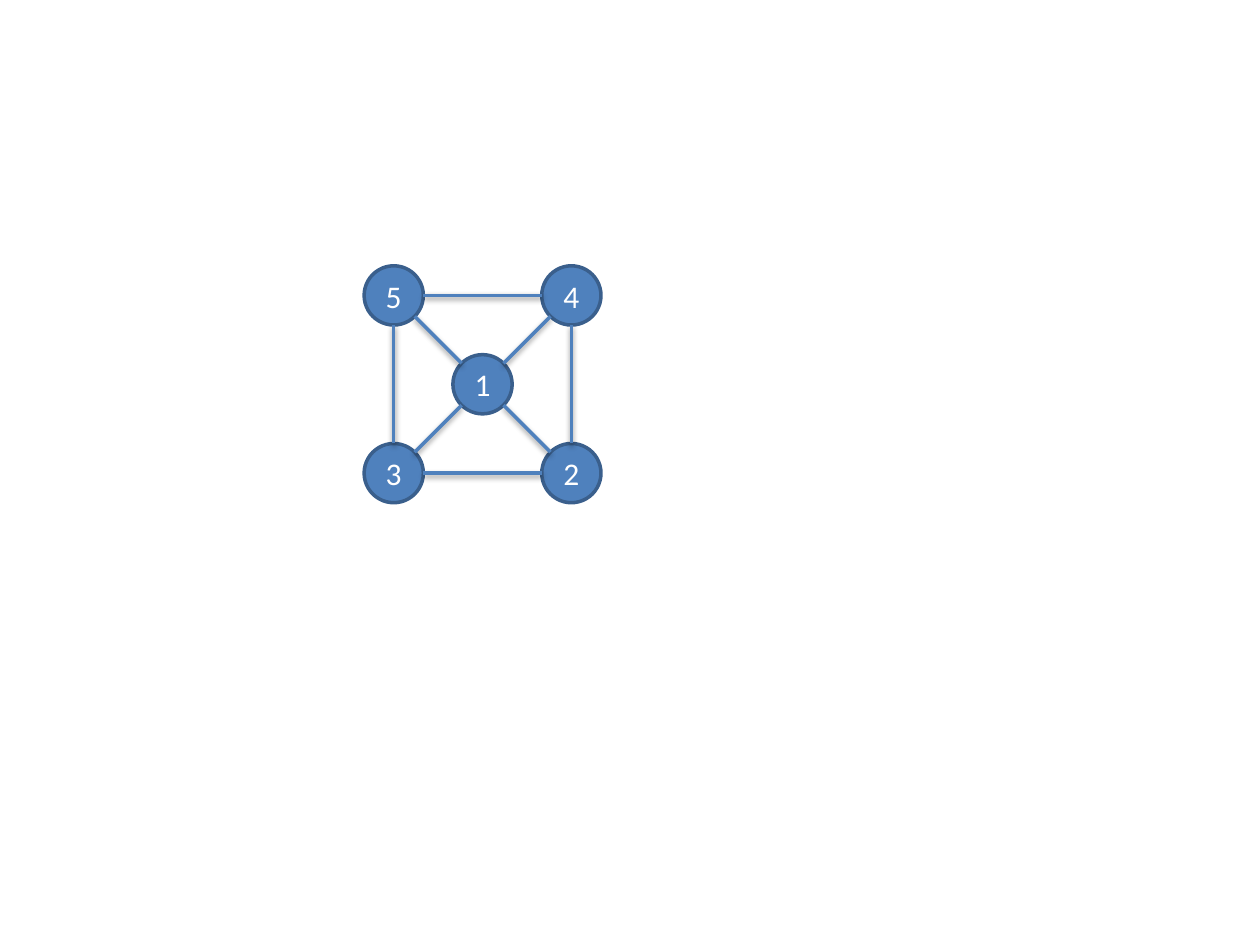
import math
from dataclasses import dataclass

import pptx
import pptx.dml.color
import pptx.enum.shapes
import pptx.enum.text
import pptx.oxml
import pptx.oxml.ns
import pptx.util

Inches = pptx.util.Inches
Pt = pptx.util.Pt

COLORS = {"fill": "4F81BD", "outline": "3A5F8C", "text": "FFFFFF", "shadow": "000000"}
CENTER_X, CENTER_Y = 3.83, 3.05
STEP = 1.41 / 2
DIAMETER = 0.47
LINE_WIDTH = Pt(2)


@dataclass(frozen=True)
class Node:
    """A numbered graph node, placed in steps from the graph centre."""
    label: str
    col: int
    row: int

    @property
    def x(self) -> float:
        """Centre of the node across the slide, in inches."""
        return CENTER_X + self.col * STEP

    @property
    def y(self) -> float:
        """Centre of the node down the slide, in inches."""
        return CENTER_Y + self.row * STEP


NODES = [Node("1", 0, 0), Node("3", -1, 1), Node("4", 1, -1),
         Node("2", 1, 1), Node("5", -1, -1)]
EDGES = ["14", "13", "15", "21", "42", "23", "53", "45"]


def rgb(name: str) -> pptx.dml.color.RGBColor:
    """Return a named colour."""
    return pptx.dml.color.RGBColor.from_string(COLORS[name])


def set_line(line, color: str) -> None:
    """Give a line its colour and width."""
    line.color.rgb = rgb(color)
    line.width = LINE_WIDTH


def add_node(slide, node: Node) -> None:
    """Draw a circle with its centred number."""
    radius = DIAMETER / 2
    sp = slide.shapes.add_shape(
        pptx.enum.shapes.MSO_SHAPE.OVAL, Inches(node.x - radius),
        Inches(node.y - radius), Inches(DIAMETER), Inches(DIAMETER))
    sp.shadow.inherit = False
    sp.fill.solid()
    sp.fill.fore_color.rgb = rgb("fill")
    set_line(sp.line, "outline")
    tf = sp.text_frame
    frame_format = {"margin_left": 0, "margin_right": 0, "word_wrap": True,
                    "vertical_anchor": pptx.enum.text.MSO_ANCHOR.MIDDLE}
    for name, value in frame_format.items():
        setattr(tf, name, value)
    p = tf.paragraphs[0]
    p.alignment = pptx.enum.text.PP_ALIGN.CENTER
    r = p.add_run()
    r.text = node.label
    for name, value in {"name": "Calibri", "size": Pt(18)}.items():
        setattr(r.font, name, value)
    r.font.color.rgb = rgb("text")


def add_edge(slide, start: Node, end: Node) -> None:
    """Join the rims of two nodes with a softly shadowed line."""
    dx, dy = end.x - start.x, end.y - start.y
    trim = DIAMETER / 2 / math.hypot(dx, dy)
    line = slide.shapes.add_connector(
        pptx.enum.shapes.MSO_CONNECTOR.STRAIGHT,
        Inches(start.x + dx * trim), Inches(start.y + dy * trim),
        Inches(end.x - dx * trim), Inches(end.y - dy * trim))
    set_line(line.line, "fill")
    line._element.spPr.append(pptx.oxml.parse_xml(
        f'<a:effectLst {pptx.oxml.ns.nsdecls("a")}>'
        '<a:outerShdw blurRad="40000" dist="20000" dir="5400000" rotWithShape="0">'
        f'<a:srgbClr val="{COLORS["shadow"]}"><a:alpha val="38000"/></a:srgbClr>'
        '</a:outerShdw></a:effectLst>'))


def main() -> None:
    """Build the graph slide."""
    prs = pptx.Presentation()
    prs.slide_width, prs.slide_height = Inches(10), Inches(7.5)
    slide = prs.slides.add_slide(prs.slide_layouts[6])
    by_label = {node.label: node for node in NODES}
    for node in NODES:
        add_node(slide, node)
    for start, end in EDGES:
        add_edge(slide, by_label[start], by_label[end])
    prs.save("out.pptx")


main()
